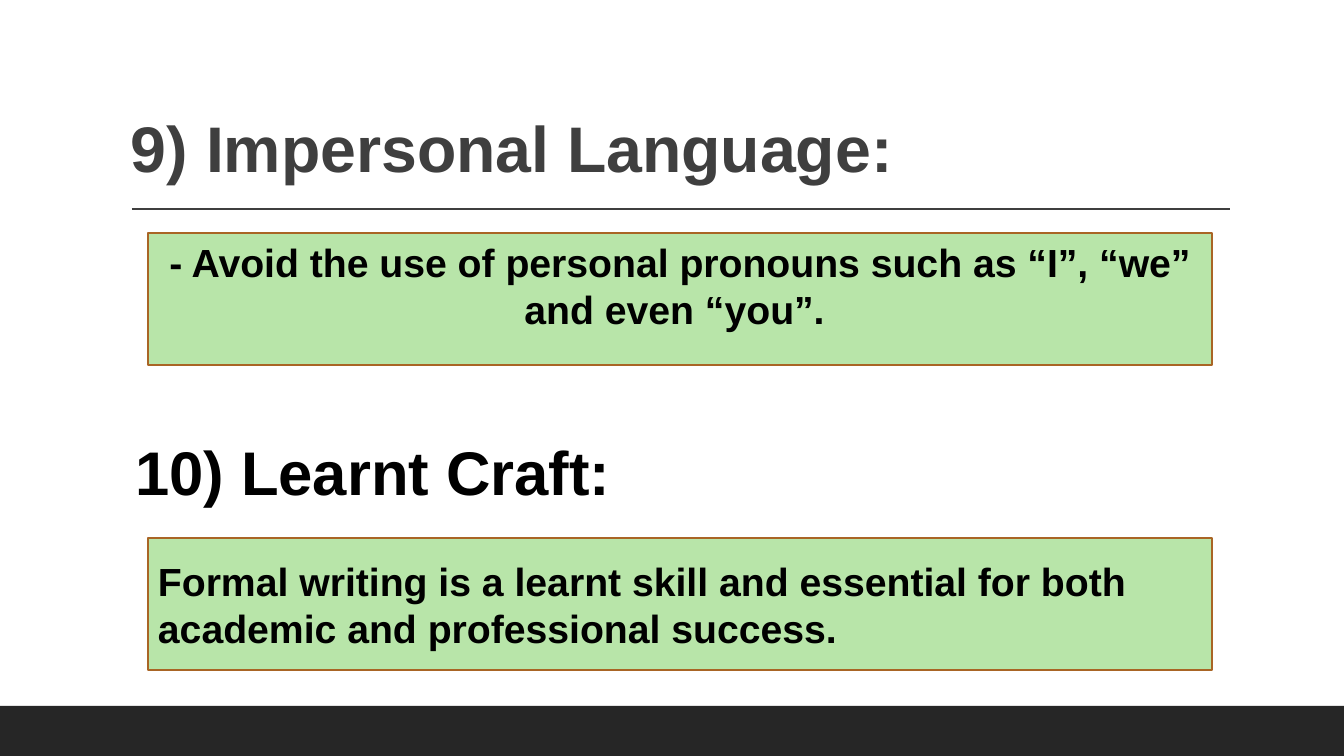
from lxml import etree
from pptx import Presentation
from pptx.dml.color import RGBColor
from pptx.enum import shapes, text
from pptx.oxml import ns
from pptx import util as u

PX = 914400 / 100.8
INK = RGBColor(0x00, 0x00, 0x00)
GREY = RGBColor(0x3F, 0x3F, 0x3F)
CHARCOAL = RGBColor(0x26, 0x26, 0x26)
GREEN = RGBColor(0xB8, 0xE5, 0xA9)
BROWN = RGBColor(0xA9, 0x65, 0x25)


def px(*lengths):
    return [u.Emu(round(length * PX)) for length in lengths]


def write(shape, words, *, size, color=INK, align=text.PP_ALIGN.LEFT,
          anchor=text.MSO_ANCHOR.MIDDLE, spacing=1.0, insets=(10, 5, 10, 5)):
    frame = shape.text_frame
    frame.word_wrap = True
    frame.auto_size = text.MSO_AUTO_SIZE.NONE
    frame.vertical_anchor = anchor
    (frame.margin_left, frame.margin_top,
     frame.margin_right, frame.margin_bottom) = px(*insets)
    paragraph = frame.paragraphs[0]
    paragraph.alignment = align
    paragraph.line_spacing = spacing
    paragraph.space_before = u.Pt(0)
    run = paragraph.add_run()
    run.text = words
    run.font.name = "Arial"
    run.font.size = u.Pt(size)
    run.font.bold = True
    run.font.color.rgb = color
    return paragraph


class RuleSlide:
    def __init__(self, deck):
        self.slide = deck.slides.add_slide(deck.slide_layouts[1])

    def box(self, left, top, width, height, fill, line=None):
        box = self.slide.shapes.add_shape(
            shapes.MSO_SHAPE.RECTANGLE, *px(left, top, width, height))
        box.shadow.inherit = False
        box.fill.solid()
        box.fill.fore_color.rgb = fill
        if line is None:
            box.line.fill.background()
        else:
            box.line.color.rgb = line
            box.line.width = u.Pt(1.25)
        return box

    def rule(self, left, right, y):
        rule = self.slide.shapes.add_connector(
            shapes.MSO_CONNECTOR.STRAIGHT, *px(left, y, right, y))
        rule.line.color.rgb = GREY
        rule.line.width = u.Pt(1)
        etree.SubElement(rule._element.spPr, ns.qn("a:effectLst"))

    def heading(self, index, words, place, **style):
        """Move a template placeholder and write an unbulleted heading in it."""
        holder = self.slide.placeholders[index]
        holder.left, holder.top, holder.width, holder.height = px(*place)
        properties = write(holder, words, **style)._p.get_or_add_pPr()
        properties.set("marL", "0")
        properties.set("indent", "0")
        etree.SubElement(properties, ns.qn("a:buNone"))

    def advice(self, top, words, **style):
        panel = self.box(148, top, 1064, 132, GREEN, BROWN)
        write(panel, words, size=28, **style)


def main():
    deck = Presentation()
    deck.slide_width, deck.slide_height = px(1344, 756)
    page = RuleSlide(deck)
    page.box(0, 706, 1344, 50, CHARCOAL)
    page.rule(132, 1230, 209)
    page.heading(0, "9) Impersonal Language:", (121, 31, 1109, 160), size=46,
                 color=GREY, anchor=text.MSO_ANCHOR.BOTTOM, spacing=0.9)
    page.heading(1, "10) Learnt Craft:", (135, 431, 1095, 80), size=44,
                 insets=(0, 5, 0, 5))
    page.advice(233, "- Avoid the use of personal pronouns such as “I”, “we” and even “you”. ",
                align=text.PP_ALIGN.CENTER, insets=(10, 5, 10, 33))
    page.advice(538, "Formal writing is a learnt skill and essential for both "
                     "academic and professional success.")
    deck.save("out.pptx")


if __name__ == "__main__":
    main()
